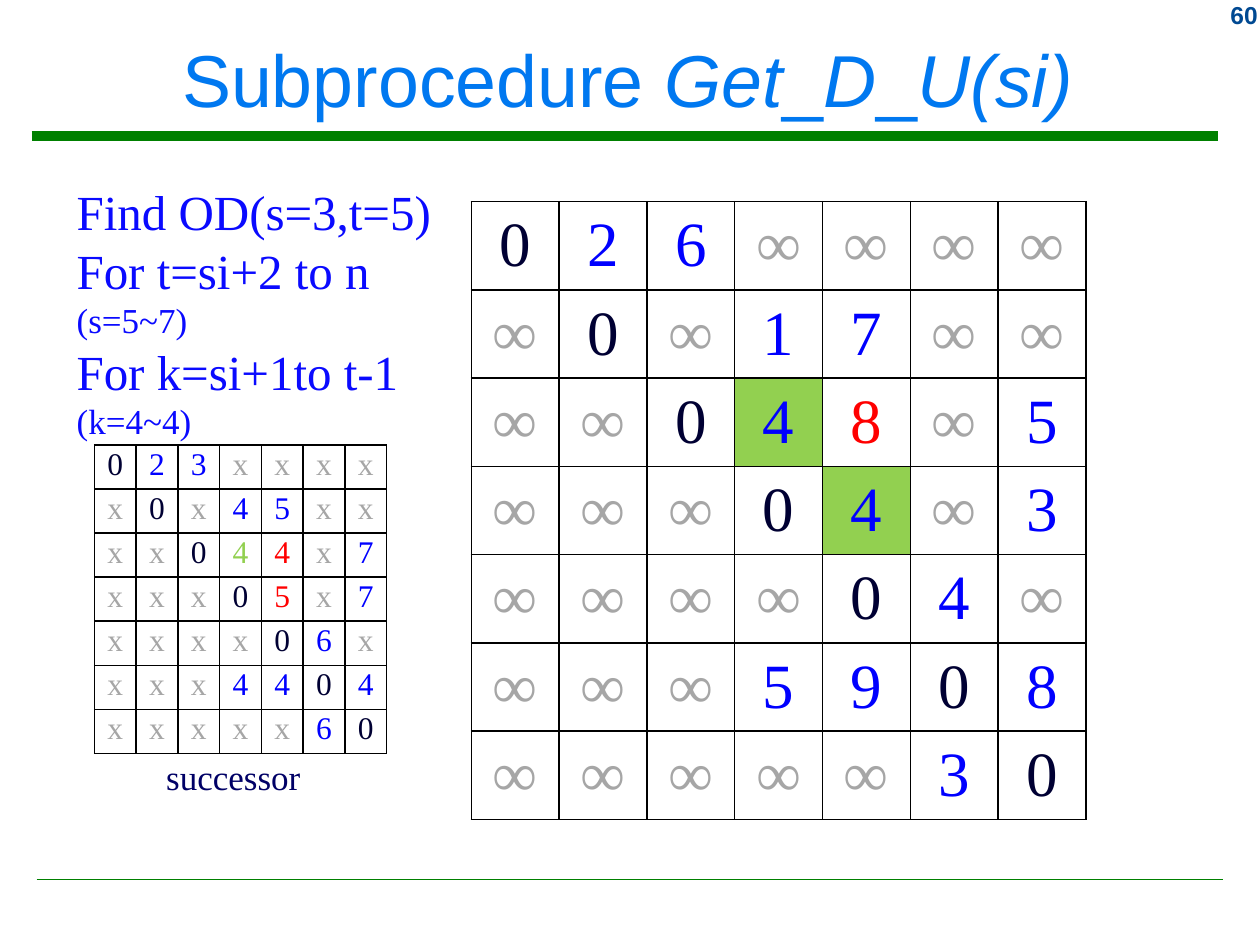
from dataclasses import dataclass, field
from lxml.etree import SubElement
from pptx import Presentation
from pptx.dml.color import RGBColor
from pptx.enum.shapes import MSO_CONNECTOR as Conn
from pptx.enum.text import MSO_ANCHOR as Anchor, PP_ALIGN as Align
from pptx.oxml.ns import qn
from pptx.slide import Slide
from pptx.text.text import Font
from pptx.util import Inches, Pt

INK = {
    "rule": "008000", "page": "004992", "title": "0078F0", "label": "000066",
    "step": "0A0AFF", "zero": "000033", "value": "0000FF", "none": "A6A6A6",
    "new": "FF0000", "mark": "92D050", "paper": "FFFFFF", "edge": "000000",
}
SANS, SERIF = "Arial", "Times New Roman"


@dataclass
class Line:
    text: str
    size: float
    ink: str
    face: str = SERIF
    bold: bool = False
    align: Align = Align.LEFT


@dataclass
class Grid:
    left: float
    top: float
    width: float
    row: float
    size: float
    data: list[str]
    inks: dict[tuple[int, int], str] = field(default_factory=dict)
    fills: dict[tuple[int, int], str] = field(default_factory=dict)
    side: float = 0.1
    edge: float = 0.05
    anchor: Anchor = Anchor.TOP


STEPS = [
    Line("Find OD(s=3,t=5)", 28, "step"),
    Line("For t=si+2 to n", 28, "step"),
    Line("(s=5~7)", 20, "step"),
    Line("For k=si+1to t-1", 28, "step"),
    Line("(k=4~4)", 20, "step"),
]
NEXT = Grid(
    0.75, 3.53, 2.32, 0.35, 18,
    ["023xxxx", "x0x45xx", "xx044x7", "xxx05x7", "xxxx06x", "xxx4404", "xxxxx60"],
    inks={(2, 3): "mark", (2, 4): "new", (3, 4): "new"}, side=0.05, edge=0.02,
)
COST = Grid(
    3.74, 1.6, 4.88, 0.7, 36,
    ["026∞∞∞∞", "∞0∞17∞∞", "∞∞048∞5", "∞∞∞04∞3", "∞∞∞∞04∞", "∞∞∞5908", "∞∞∞∞∞30"],
    inks={(2, 4): "new"}, fills={(2, 3): "mark", (3, 4): "mark"},
    anchor=Anchor.MIDDLE,
)


def tint(name: str) -> RGBColor:
    """Look up a colour by name."""
    return RGBColor.from_string(INK[name])


def style(font: Font, size: float, ink: str, face: str = SERIF, bold: bool = False) -> None:
    """Set size, colour, face and weight of a font."""
    font.size, font.name, font.bold = Pt(size), face, bold
    font.color.rgb = tint(ink)


def rule(slide: Slide, left: float, right: float, top: float, width: float) -> None:
    """Draw a level green line."""
    line = slide.shapes.add_connector(
        Conn.STRAIGHT, Inches(left), Inches(top), Inches(right), Inches(top))
    line.line.color.rgb = tint("rule")
    line.line.width = Pt(width)
    SubElement(line._element.spPr, qn("a:effectLst"))


def write(slide: Slide, box: tuple[float, ...], lines: list[Line], wrap: bool = True) -> None:
    """Put lines of text in a box."""
    frame = slide.shapes.add_textbox(*map(Inches, box)).text_frame
    frame.word_wrap = wrap
    for i, line in enumerate(lines):
        para = frame.add_paragraph() if i else frame.paragraphs[0]
        para.text, para.alignment = line.text, line.align
        style(para.font, line.size, line.ink, line.face, line.bold)


def head(slide: Slide) -> None:
    """Write the title with its slanted name."""
    box = slide.shapes.add_textbox(Inches(0.08), Inches(0.09), Inches(9.8), Inches(1.06))
    frame = box.text_frame
    frame.word_wrap, frame.vertical_anchor = True, Anchor.MIDDLE
    para = frame.paragraphs[0]
    para.alignment = Align.CENTER
    style(para.font, 42, "title", SANS)
    for text in ("Subprocedure ", "Get", "_", "D", "_", "U(si)"):
        run = para.add_run()
        run.text = text
        run.font.italic = text in ("Get", "D", "U(si)")


def frame_cell(cell) -> None:
    """Give a cell a thin black border on each side."""
    props = cell._tc.get_or_add_tcPr()
    for i, tag in enumerate(("a:lnL", "a:lnR", "a:lnT", "a:lnB")):
        line = props.makeelement(qn(tag), {"w": str(Pt(1))})
        fill = SubElement(line, qn("a:solidFill"))
        SubElement(fill, qn("a:srgbClr"), val=INK["edge"])
        props.insert(i, line)


def draw_grid(slide: Slide, grid: Grid) -> None:
    """Draw a matrix as a table."""
    count = len(grid.data)
    table = slide.shapes.add_table(
        count, count, Inches(grid.left), Inches(grid.top),
        Inches(grid.width), Inches(grid.row * count)).table
    table.first_row = table.horz_banding = False
    for r, row in enumerate(grid.data):
        table.rows[r].height = Inches(grid.row)
        for c, text in enumerate(row):
            cell = table.cell(r, c)
            cell.margin_left = cell.margin_right = Inches(grid.side)
            cell.margin_top = cell.margin_bottom = Inches(grid.edge)
            cell.vertical_anchor = grid.anchor
            cell.fill.solid()
            cell.fill.fore_color.rgb = tint(grid.fills.get((r, c), "paper"))
            frame_cell(cell)
            kind = {"0": "zero", "x": "none", "∞": "none"}.get(text, "value")
            para = cell.text_frame.paragraphs[0]
            para.text, para.alignment = text, Align.CENTER
            style(para.font, grid.size, grid.inks.get((r, c), kind))


def main() -> None:
    """Build and save the slide."""
    deck = Presentation()
    deck.slide_width, deck.slide_height = Inches(10), Inches(7.5)
    slide = deck.slides.add_slide(deck.slide_layouts[6])
    rule(slide, 0.25, 9.67, 1.08, 5.25)
    rule(slide, 0.29, 9.71, 6.98, 1)
    write(slide, (9.17, -0.05, 0.91, 0.33),
          [Line("60", 14, "page", SANS, True, Align.RIGHT)])
    head(slide)
    write(slide, (1.22, 5.95, 1.28, 0.44), [Line("successor", 20, "label")], False)
    write(slide, (0.51, 1.39, 3.23, 2.66), STEPS)
    draw_grid(slide, NEXT)
    draw_grid(slide, COST)
    deck.save("out.pptx")


if __name__ == "__main__":
    main()
